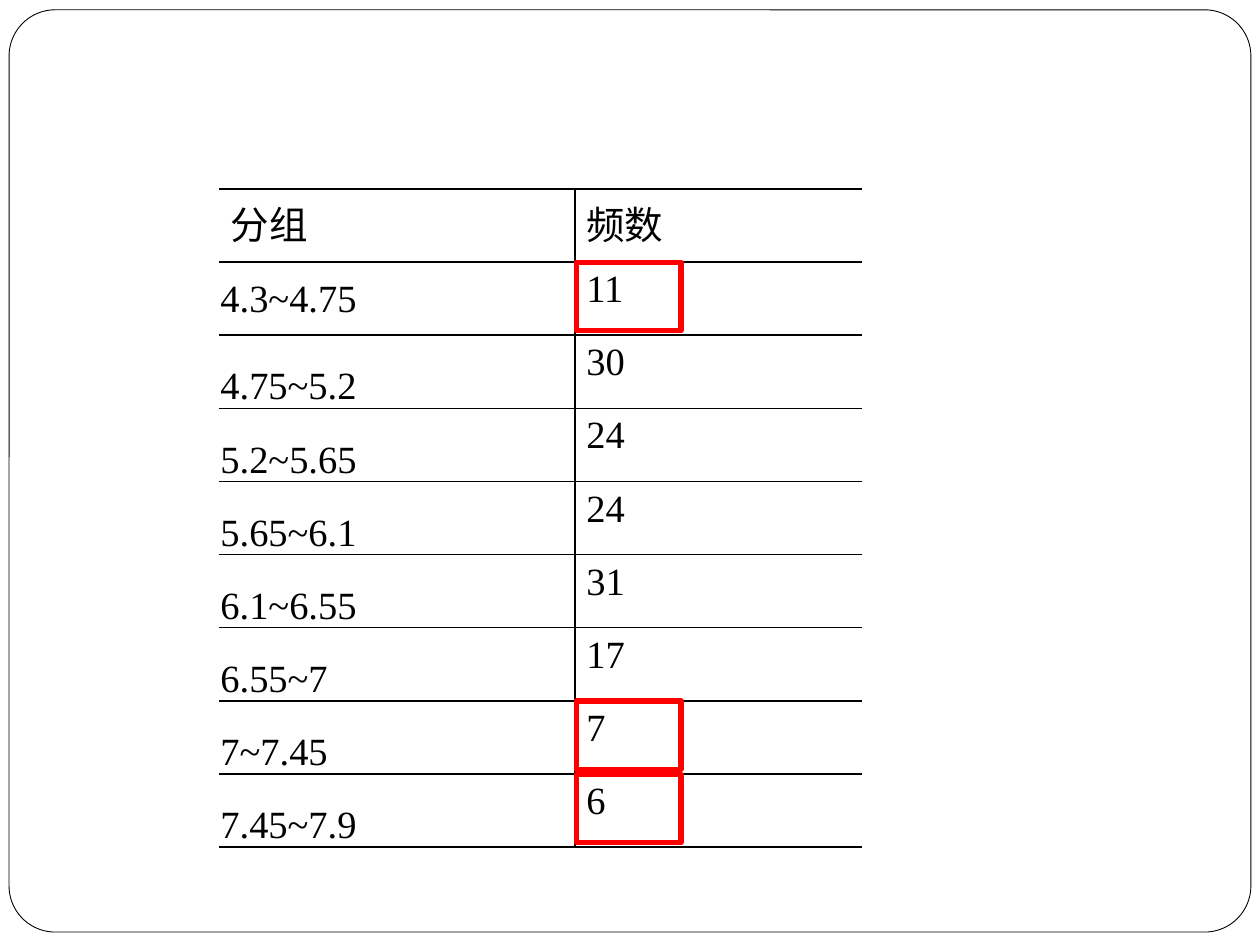
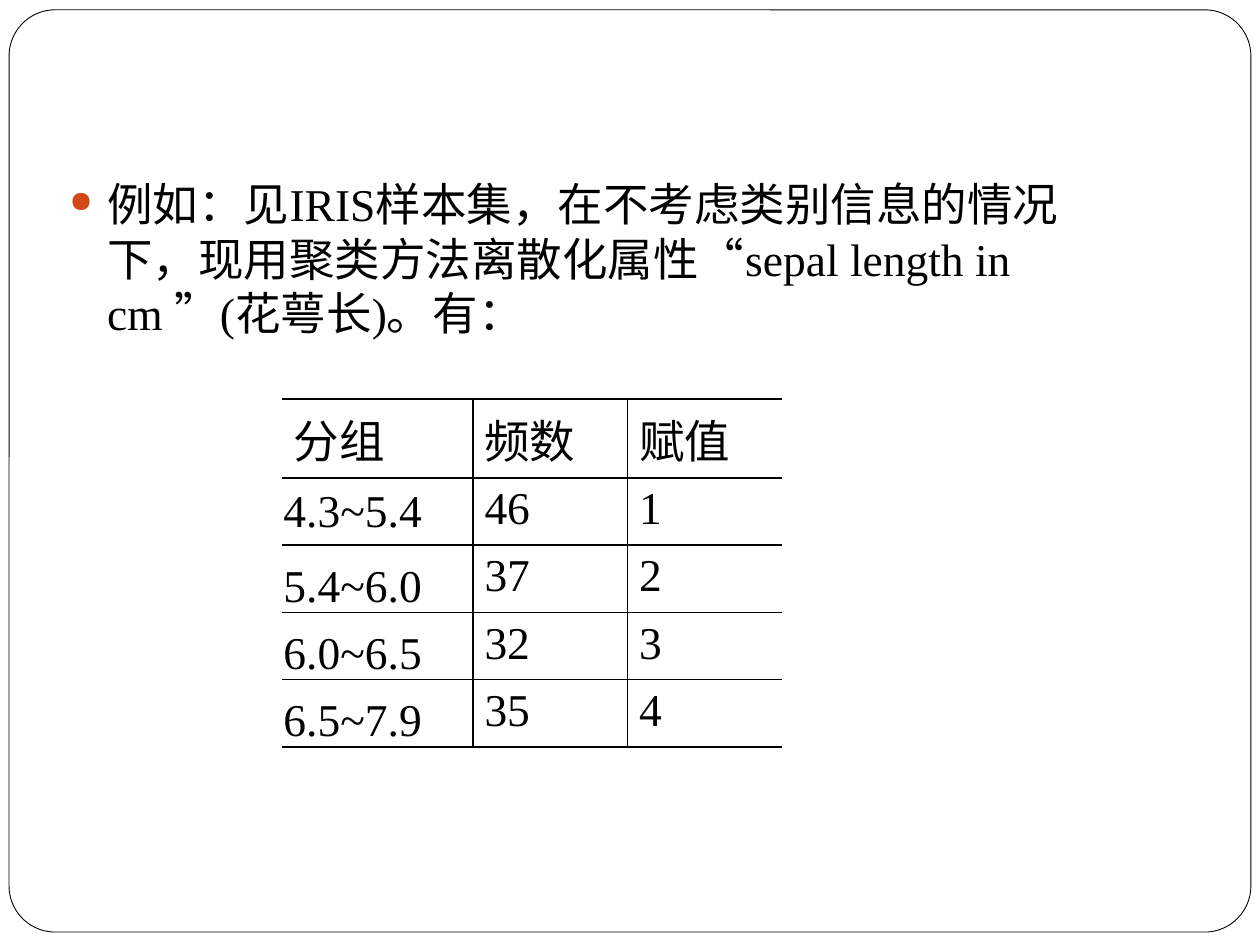
"""Build two slides showing frequency tables for discretised IRIS sepal lengths."""
from lxml import etree
from pptx import Presentation
from pptx.dml.color import RGBColor
from pptx.enum import shapes, text
from pptx.oxml import ns
from pptx.util import Pt

COLOURS = {"ink": "000000", "paper": "FFFFFF", "accent": "D34817", "mark": "FF0000"}
FONT = "Times New Roman"
EXAMPLE = "例如：见IRIS样本集，在不考虑类别信息的情况下，现用聚类方法离散化属性“sepal length in cm ”(花萼长)。有："
EQUAL_WIDTH = {
    "left": 125.3, "top": 108, "columns": [203.3, 163.9], "size": 22,
    "header_height": 41.8, "row_height": 41.8,
    "rows": [
        ("分组", "频数"),
        ("4.3~4.75", "11"),
        ("4.75~5.2", "30"),
        ("5.2~5.65", "24"),
        ("5.65~6.1", "24"),
        ("6.1~6.55", "31"),
        ("6.55~7", "17"),
        ("7~7.45", "7"),
        ("7.45~7.9", "6"),
    ],
}
CLUSTERED = {
    "left": 161.3, "top": 228, "columns": [109, 88.3, 88.3], "size": 26,
    "header_height": 45.1, "row_height": 37.9,
    "rows": [
        ("分组", "频数", "赋值"),
        ("4.3~5.4", "46", "1"),
        ("5.4~6.0", "37", "2"),
        ("6.0~6.5", "32", "3"),
        ("6.5~7.9", "35", "4"),
    ],
}
MARKED_ROWS = [1, 7, 8]


def colour(name):
    return RGBColor.from_string(COLOURS[name])


def style(paragraph, size):
    paragraph.font.name = FONT
    paragraph.font.size = Pt(size)
    paragraph.font.color.rgb = colour("ink")


def add_outline(slide, kind, place, line, width, fill=None):
    shape = slide.shapes.add_shape(kind, *map(Pt, place))
    shape.shadow.inherit = False
    shape.line.color.rgb = colour(line)
    shape.line.width = Pt(width)
    if fill:
        shape.fill.solid()
        shape.fill.fore_color.rgb = colour(fill)
    else:
        shape.fill.background()
    return shape


def add_page(deck):
    page = deck.slides.add_slide(deck.slide_layouts[6])
    frame = add_outline(page, shapes.MSO_SHAPE.ROUNDED_RECTANGLE,
                        (5.2, 5.6, 709.6, 527), "ink", 0.5, "paper")
    frame.adjustments[0] = 0.05
    return page


def set_borders(cell, visible):
    properties = cell._tc.get_or_add_tcPr()
    for side in "LRTB":
        line = etree.SubElement(properties, ns.qn(f"a:ln{side}"), w=str(Pt(1)))
        if side in visible:
            fill = etree.SubElement(line, ns.qn("a:solidFill"))
            etree.SubElement(fill, ns.qn("a:srgbClr"), val=COLOURS["ink"])
        else:
            etree.SubElement(line, ns.qn("a:noFill"))


def add_frequency_table(page, data):
    rows, columns = data["rows"], data["columns"]
    heights = [data["header_height"]] + [data["row_height"]] * (len(rows) - 1)
    table = page.shapes.add_table(
        len(rows), len(columns), Pt(data["left"]), Pt(data["top"]),
        Pt(sum(columns)), Pt(sum(heights))).table
    table.first_row = table.horz_banding = False
    for column, width in zip(table.columns, columns):
        column.width = Pt(width)
    for r, values in enumerate(rows):
        table.rows[r].height = Pt(heights[r])
        for c, value in enumerate(values):
            cell = table.cell(r, c)
            cell.text = value
            style(cell.text_frame.paragraphs[0], data["size"])
            is_group = r > 0 and c == 0
            side, top, bottom = (0.7, 0.7, 0) if is_group else (6.6, 3.6, 3.6)
            cell.margin_left = cell.margin_right = Pt(side)
            cell.margin_top, cell.margin_bottom = Pt(top), Pt(bottom)
            if is_group:
                cell.vertical_anchor = text.MSO_ANCHOR.MIDDLE if r == 1 else text.MSO_ANCHOR.BOTTOM
            last = c == len(columns) - 1
            set_borders(cell, "TB" + ("L" if c else "") + ("" if last else "R"))
            cell.fill.background()


def mark_counts(page, data):
    left = data["left"] + data["columns"][0] + 0.7
    for row in MARKED_ROWS:
        top = data["top"] + data["header_height"] + (row - 1) * data["row_height"]
        add_outline(page, shapes.MSO_SHAPE.FLOWCHART_PROCESS, (left, top, 59.8, 39.2), "mark", 3)


def add_bullet_text(page, words):
    box = page.shapes.add_textbox(Pt(33.1), Pt(97.2), Pt(588.2), Pt(120))
    frame = box.text_frame
    frame.word_wrap = True
    frame.margin_left = frame.margin_right = Pt(6.6)
    para = frame.paragraphs[0]
    para.text = words
    properties = para._p.get_or_add_pPr()
    properties.set("marL", str(Pt(21.6)))
    properties.set("indent", str(-Pt(21.6)))
    bullet = etree.SubElement(properties, ns.qn("a:buClr"))
    etree.SubElement(bullet, ns.qn("a:srgbClr"), val=COLOURS["accent"])
    etree.SubElement(properties, ns.qn("a:buSzPct"), val="65000")
    etree.SubElement(properties, ns.qn("a:buChar"), char="●")
    style(para, 26)


def main():
    deck = Presentation()
    deck.slide_width, deck.slide_height = Pt(720), Pt(540)
    page = add_page(deck)
    add_frequency_table(page, EQUAL_WIDTH)
    mark_counts(page, EQUAL_WIDTH)
    page = add_page(deck)
    add_bullet_text(page, EXAMPLE)
    add_frequency_table(page, CLUSTERED)
    deck.save("out.pptx")


if __name__ == "__main__":
    main()
